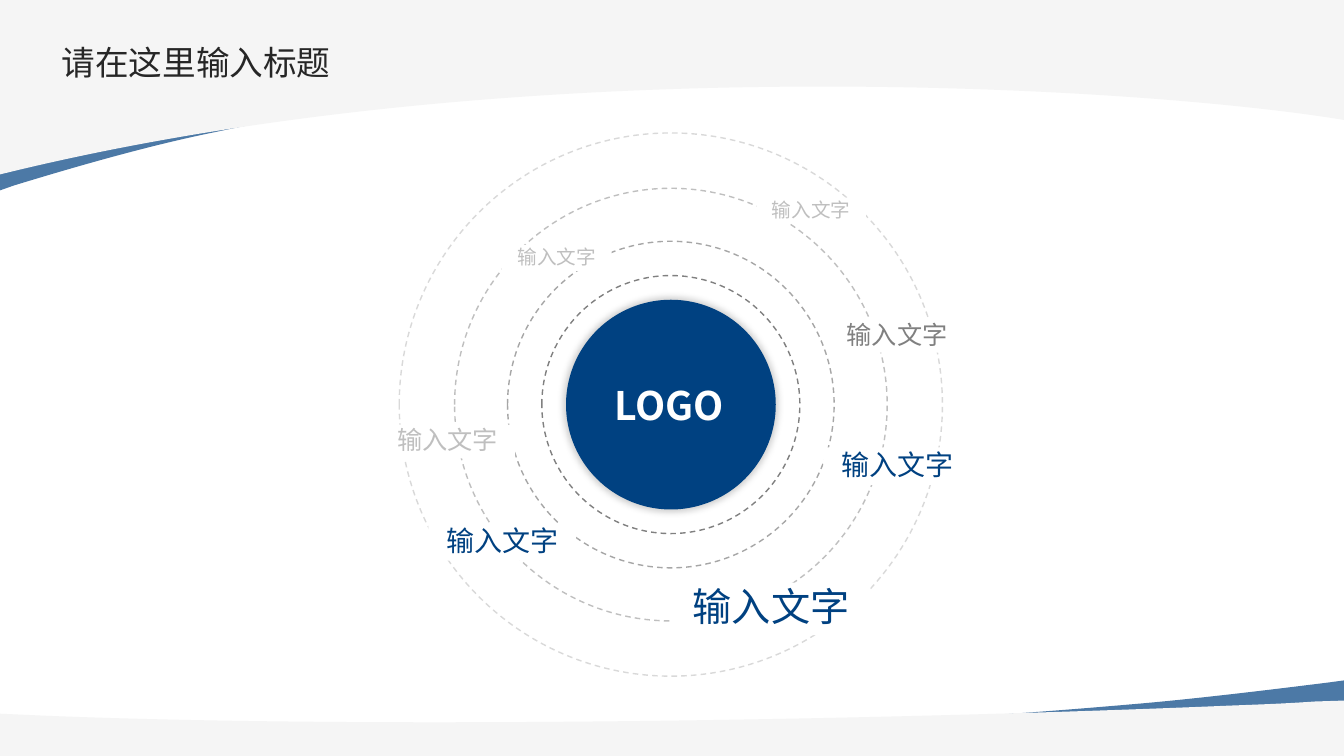
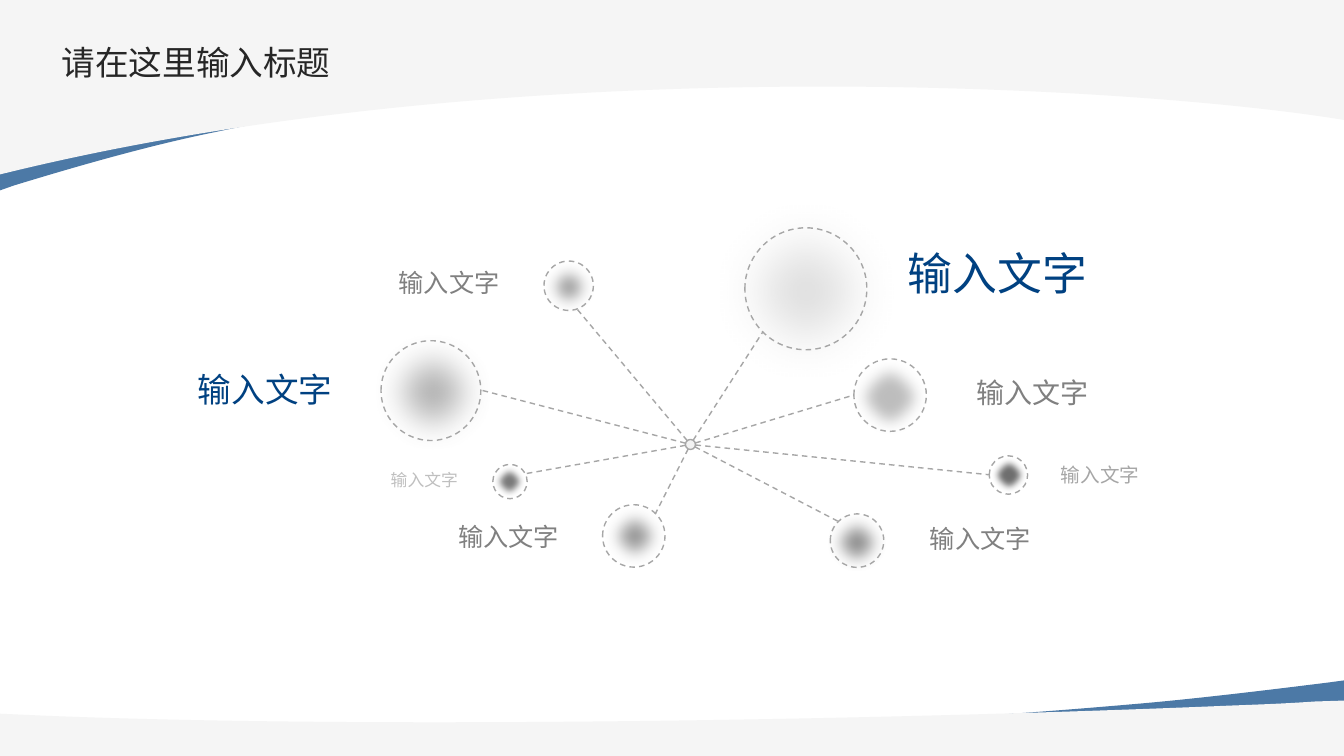
from math import hypot

from lxml.etree import SubElement
from pptx import Presentation
from pptx.dml.color import RGBColor
from pptx.enum.dml import MSO_LINE
from pptx.enum.shapes import MSO_CONNECTOR, MSO_SHAPE
from pptx.enum.text import MSO_ANCHOR, MSO_AUTO_SIZE, PP_ALIGN
from pptx.oxml.ns import qn
from pptx.util import Pt

NAVY = RGBColor(0x00, 0x41, 0x81)
INK = RGBColor(0x26, 0x26, 0x26)
CHARCOAL = RGBColor(0x59, 0x59, 0x59)
GRAY = RGBColor(0x80, 0x80, 0x80)
STEEL = RGBColor(0x99, 0x99, 0x99)
ASH = RGBColor(0xA6, 0xA6, 0xA6)
SILVER = RGBColor(0xBF, 0xBF, 0xBF)
MIST = RGBColor(0xD9, 0xD9, 0xD9)
PEARL = RGBColor(0xF2, 0xF2, 0xF2)
SMOKE = RGBColor(0xF5, 0xF5, 0xF5)
WHITE = RGBColor(0xFF, 0xFF, 0xFF)

FONT = "Noto Sans CJK SC"
TITLE = "请在这里输入标题"
LABEL = "输入文字"

BANDS = [
    (NAVY, 70, [(0, 136), (0, 16), (960, 16), (960, 65.5),
                (743, 4.3, 370, 48.2, 154, 94.3),
                (111, 103, 62, 116.6, 10, 132.5)]),
    (SMOKE, 100, [(0, 0), (960, 0), (960, 85.7),
                  (820.8, 62.6, 372.2, 32.4, 0, 124.6)]),
    (NAVY, 70, [(960, 486), (960, 535.7), (0, 535.7), (0, 515),
                (216.7, 540, 590.4, 522, 805.7, 503.3),
                (849, 499.7, 897.8, 493.9, 949.7, 487.4)]),
    (SMOKE, 100, [(960, 500.4), (960, 540), (0, 540), (0, 509.8), (31.7, 511.2),
                  (282.2, 521.3, 655.2, 513.4, 878.4, 504),
                  (897.1, 503.3, 918, 502.6, 938.9, 501.1)]),
]


class Deck:
    def __init__(self):
        self.file = Presentation()
        self.file.slide_width, self.file.slide_height = Pt(960), Pt(540)
        self.layout = self.file.slide_layouts[5]
        for spare in list(self.layout.placeholders)[1:]:
            self.layout.shapes._spTree.remove(spare._element)
        self.page = None

    def add_page(self, title):
        self.page = self.file.slides.add_slide(self.layout)
        if len(self.file.slides) == 1:
            for index, band in enumerate(BANDS):
                self.add_band(index, *band)
        box = self.page.shapes.title
        box.left, box.top, box.width, box.height = Pt(38), Pt(28), Pt(864), Pt(42)
        frame = box.text_frame
        frame.margin_left, frame.margin_right = Pt(6), 0
        frame.margin_top, frame.margin_bottom = Pt(3), Pt(9)
        para = frame.paragraphs[0]
        para.alignment = PP_ALIGN.LEFT
        para.line_spacing = 0.9
        self.add_span(para, title, 24, INK)

    def add_band(self, index, color, opacity, steps):
        corners = [(Pt(step[-2]), Pt(step[-1])) for step in steps]
        builder = self.page.shapes.build_freeform(*corners[0], scale=1.0)
        builder.add_line_segments(corners[1:], close=True)
        band = builder.convert_to_shape()
        segments = list(band._element.spPr.iter(qn("a:lnTo")))
        for step, segment in zip(steps[1:], segments):
            if len(step) == 6:
                self.bend(band, segment, step)
        self.paint(band, color, opacity)
        self.layout.shapes._spTree.insert(2 + index, band._element)

    def bend(self, band, segment, step):
        outline = segment.getparent()
        curve = SubElement(outline, qn("a:cubicBezTo"))
        for x, y in zip(step[::2], step[1::2]):
            SubElement(curve, qn("a:pt"), x=str(Pt(x) - band.left), y=str(Pt(y) - band.top))
        outline.replace(segment, curve)

    def paint(self, shape, fill=None, opacity=100, line=None, dashed=True):
        shape.shadow.inherit = False
        if fill is None:
            shape.fill.background()
        else:
            shape.fill.solid()
            shape.fill.fore_color.rgb = fill
            if opacity < 100:
                tint = shape._element.spPr.find(qn("a:solidFill"))[0]
                SubElement(tint, qn("a:alpha"), val=str(opacity * 1000))
        if line is None:
            shape.line.fill.background()
        else:
            self.stroke(shape.line, line, dashed)

    def stroke(self, line, color, dashed=True):
        line.color.rgb = color
        line.width = Pt(1)
        if dashed:
            line.dash_style = MSO_LINE.DASH

    def add_span(self, para, text, size, color, bold=False):
        span = para.add_run()
        span.text = text
        span.font.size = Pt(size)
        span.font.bold = bold
        span.font.color.rgb = color
        span.font.name = FONT
        SubElement(span.font._element, qn("a:ea"), typeface=FONT)

    def add_circle(self, x, y, diameter, **style):
        radius = diameter / 2
        circle = self.page.shapes.add_shape(
            MSO_SHAPE.OVAL, Pt(x - radius), Pt(y - radius), Pt(diameter), Pt(diameter))
        self.paint(circle, **style)
        return circle

    def add_effect(self, shape, name, **settings):
        effects = shape._element.spPr.find(qn("a:effectLst"))
        return SubElement(effects, qn(name), **settings)

    def add_glow(self, x, y, diameter, color, opacity, softness):
        glow = self.add_circle(x, y, diameter, fill=color, opacity=opacity)
        self.add_effect(glow, "a:softEdge", rad=str(Pt(softness)))

    def add_hub(self, x, y, diameter):
        hub = self.add_circle(x, y, diameter, fill=NAVY)
        shadow = self.add_effect(hub, "a:outerShdw", blurRad=str(Pt(5)), dist="0",
                                 sx="102000", sy="102000", algn="ctr", rotWithShape="0")
        tint = SubElement(shadow, qn("a:srgbClr"), val="000000")
        SubElement(tint, qn("a:alpha"), val="20000")

    def add_spoke(self, hub, gap, end):
        run, rise = end[0] - hub[0], end[1] - hub[1]
        share = gap / hypot(run, rise)
        spoke = self.page.shapes.add_connector(
            MSO_CONNECTOR.STRAIGHT, Pt(hub[0] + run * share), Pt(hub[1] + rise * share),
            Pt(end[0]), Pt(end[1]))
        self.stroke(spoke.line, ASH)
        SubElement(spoke._element.spPr, qn("a:effectLst"))

    def add_label(self, x, y, size, color, text=LABEL, bold=False, masked=False):
        width = size * (4.56 if masked else 4) + 14.4
        height = size * (1.34 if masked else 1.2)
        area = Pt(x - width / 2), Pt(y - height / 2), Pt(width), Pt(height)
        if masked:
            box = self.page.shapes.add_shape(MSO_SHAPE.RECTANGLE, *area)
            self.paint(box, WHITE)
        else:
            box = self.page.shapes.add_textbox(*area)
        frame = box.text_frame
        frame.word_wrap = False
        frame.auto_size = MSO_AUTO_SIZE.NONE
        frame.vertical_anchor = MSO_ANCHOR.MIDDLE
        frame.margin_left = frame.margin_right = Pt(7.2)
        frame.margin_top = 0
        frame.margin_bottom = Pt(size * (0.14 if masked else 0.07))
        para = frame.paragraphs[0]
        para.alignment = PP_ALIGN.CENTER
        self.add_span(para, text, size, color, bold)


def build_orbits(deck):
    deck.add_page(TITLE)
    x, y = 479.2, 289
    for diameter, color in ((309, SILVER), (184.3, GRAY), (233.3, ASH), (388, MIST)):
        deck.add_circle(x, y, diameter, line=color)
    for label in (
        (319.7, 315.4, 18, SILVER),
        (550.8, 434.9, 28, NAVY),
        (579.4, 150.5, 14, SILVER),
        (640.8, 239.8, 18, GRAY),
        (358.8, 387, 20, NAVY),
        (397.8, 184.3, 14, SILVER),
    ):
        deck.add_label(*label, masked=True)
    deck.add_hub(x, y, 149.8)
    deck.add_label(477.7, 290, 28, WHITE, text="LOGO", bold=True)
    deck.add_label(641, 333, 20, NAVY, masked=True)


def build_network(deck):
    deck.add_page(TITLE)
    hub = 493.2, 317.5
    nodes = [
        ((307.8, 279, 71.3), (343.4, 278.6), (309.6, 280, 105, ASH, 87, 24),
         (189.4, 279, 24, NAVY)),
        ((364.3, 344, 24.5), (375.1, 338.4), (364, 344, 26, CHARCOAL, 79, 5),
         (303.1, 343.4, 12, SILVER)),
        ((575.6, 206.3, 87.1), (545, 236.9), (575.6, 207.7, 159, ASH, 36, 36),
         (712.5, 195.8, 32, NAVY)),
        ((406.2, 204.1, 35.3), (411.8, 220.3), (406.1, 204.8, 46.4, GRAY, 78, 11),
         (320.8, 202.3, 18, GRAY)),
        ((452.7, 382.8, 44.6), (468, 367.2), (453.6, 382.8, 51.8, STEEL, 100, 11.5),
         (363.2, 383.8, 18, GRAY)),
        ((612.2, 386.2, 38.2), (598.3, 372.2), (612, 387.4, 51.8, GRAY, 87, 11.5),
         (700.2, 385.2, 18, GRAY)),
        ((720.3, 339.3, 27.4), (706.3, 339.1), (721, 339.5, 28, CHARCOAL, 86, 5),
         (785.9, 339.8, 14, ASH)),
        ((635.8, 282.2, 51.8), (609.8, 282.2), (635.8, 283.7, 60.5, ASH, 73, 11),
         (737.3, 280.8, 20, GRAY)),
    ]
    rings, ends, glows, labels = zip(*nodes)
    for end in ends:
        deck.add_spoke(hub, 3.6, end)
    for glow in glows:
        deck.add_glow(*glow)
    for ring in rings:
        deck.add_circle(*ring, line=ASH)
    deck.add_circle(*hub, 7.2, fill=PEARL, line=ASH, dashed=False)
    for label in labels:
        deck.add_label(*label)


def main():
    deck = Deck()
    build_orbits(deck)
    build_network(deck)
    deck.file.save("out.pptx")


if __name__ == "__main__":
    main()
